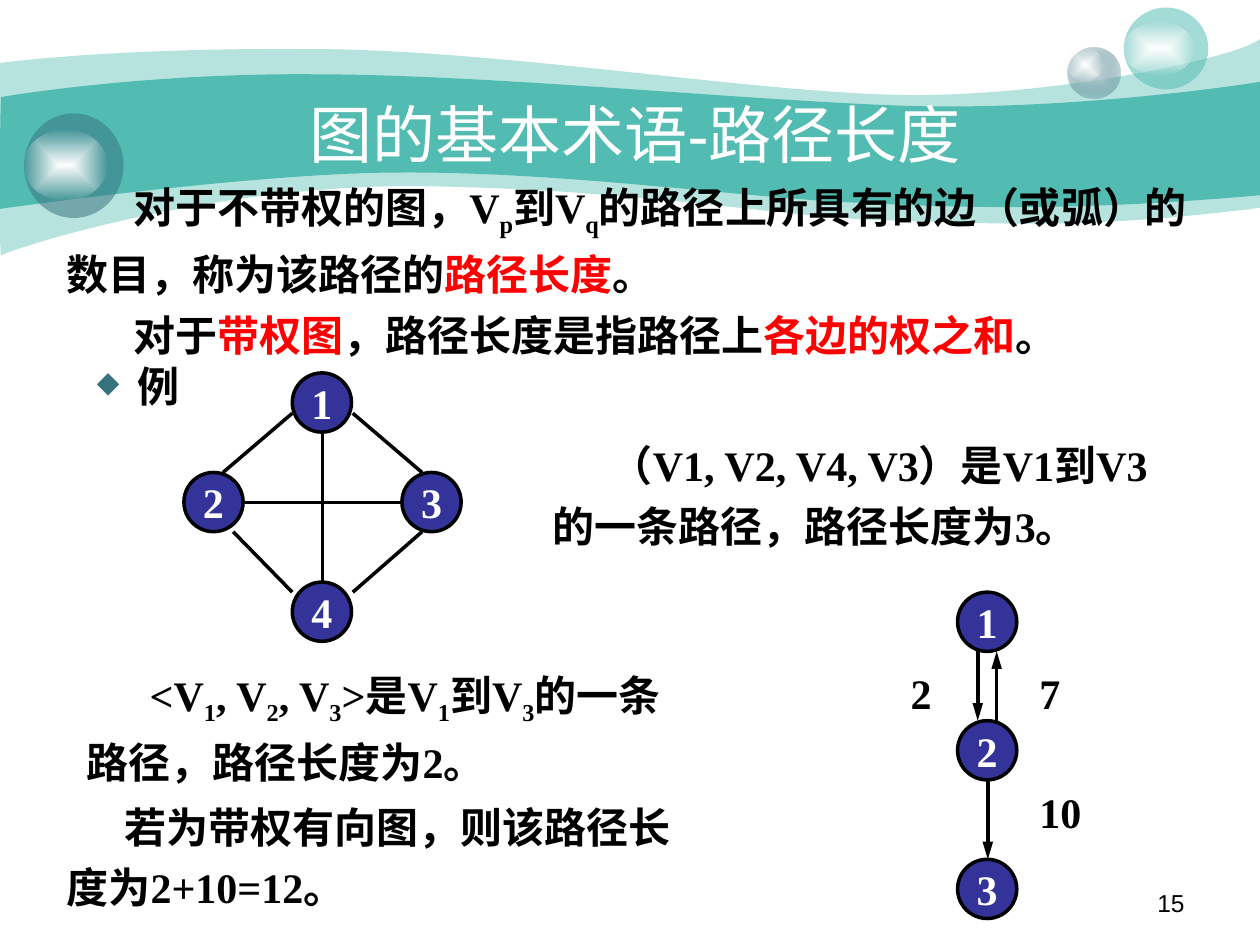
from dataclasses import dataclass

from lxml import etree
from pptx import Presentation
from pptx.dml.color import RGBColor
from pptx.enum.shapes import MSO_CONNECTOR, MSO_SHAPE
from pptx.enum.text import MSO_ANCHOR, PP_ALIGN
from pptx.oxml.ns import qn
from pptx.util import Pt

OVAL = MSO_SHAPE.OVAL
STRAIGHT = MSO_CONNECTOR.STRAIGHT
MIDDLE = MSO_ANCHOR.MIDDLE
LEFT, CENTER, RIGHT = PP_ALIGN.LEFT, PP_ALIGN.CENTER, PP_ALIGN.RIGHT
PX = 9144  # 100 px to the inch


@dataclass(frozen=True)
class Theme:
    teal: str = "52BCB2"
    deep: str = "37737F"
    pale: str = "CCDBDE"
    node: str = "333399"
    ink: str = "000000"
    white: str = "FFFFFF"
    red: str = "FF0000"
    serif: str = "Times New Roman"
    sans: str = "Arial"
    title: int = 36
    body: int = 24
    small: int = 14
    line: int = 2


T = Theme()


def paint(shape, *stops):
    """Fill with one (colour, alpha %) pair, or with two from the centre out."""
    fill = shape.fill
    if len(stops) == 1:
        fill.solid()
        fill.fore_color.rgb = RGBColor.from_string(stops[0][0])
    else:
        fill.gradient()
        for stop, (color, _) in zip(fill.gradient_stops, stops):
            stop.color.rgb = RGBColor.from_string(color)
        grad = shape._element.spPr.find(qn("a:gradFill"))
        way = etree.Element(qn("a:path"), path="rect")
        etree.SubElement(way, qn("a:fillToRect"), l="50000", t="50000", r="50000", b="50000")
        grad.replace(grad.find(qn("a:lin")), way)
    colors = shape._element.spPr.iter(qn("a:srgbClr"))
    for node, (_, alpha) in zip(list(colors), stops):
        if alpha < 100:
            etree.SubElement(node, qn("a:alpha"), val=str(alpha * 1000))
    shape.line.fill.background()
    shape.shadow.inherit = False


def write(para, runs, color=T.ink, size=T.body, font=T.serif, bold=True, align=LEFT):
    """Add (text, mark) runs; mark is '', 'sub' or 'red'."""
    para.alignment = align
    for text, mark in runs:
        run = para.add_run()
        run.text = text
        run.font.name, run.font.size, run.font.bold = font, Pt(size), bold
        run.font.color.rgb = RGBColor.from_string(T.red if mark == "red" else color)
        if mark == "sub":
            run._r.get_or_add_rPr().set("baseline", "-25000")


deck = Presentation()
deck.slide_width, deck.slide_height = 1000 * PX, 750 * PX
slide = deck.slides.add_slide(deck.slide_layouts[5])
shapes = slide.shapes

# Waves: a start point, then curves (three points) and straight lines (one point)
waves = [
    (41, (0, 50), [
        [(24, 47), (107, 38), (247, 39)], [(386, 39), (575, 70), (699, 75)],
        [(822, 80), (980, 47), (1000, 31)], [(1000, 165)],
        [(858, 183), (787, 177), (705, 175)], [(622, 173), (515, 151), (343, 148)],
        [(172, 144), (4, 199), (1, 203)], [(-1, 208), (0, 75), (0, 50)]]),
    (100, (1, 77), [
        [(2, 77), (110, 58), (248, 59)], [(386, 59), (595, 80), (718, 84)],
        [(841, 88), (976, 69), (1000, 65)], [(1000, 155)],
        [(853, 168), (765, 165), (682, 161)], [(599, 158), (447, 136), (317, 137)],
        [(203, 137), (-2, 166), (-1, 166)], [(0, 166), (0, 77), (1, 77)]]),
]
for alpha, start, parts in waves:
    pen = shapes.build_freeform(*start, scale=PX)
    pen.add_line_segments([spot for part in parts for spot in part])
    wave = pen.convert_to_shape()
    lines = wave._element.spPr.findall(".//" + qn("a:lnTo"))
    for part in parts:
        group, lines = lines[:len(part)], lines[len(part):]
        if len(group) == 3:
            curve = etree.Element(qn("a:cubicBezTo"))
            group[0].addprevious(curve)
            for line in group:
                curve.append(line[0])
                line.getparent().remove(line)
    paint(wave, (T.teal, alpha))

# Glass balls, each with a highlight
shine = [(T.white, 100), (T.white, 0)]
balls = [
    ((847, 38, 42, 40), [(T.pale, 100), (T.deep, 31)], (847, 38, 28, 27)),
    ((892, 6, 67, 65), [(T.teal, 53)], (892, 17, 56, 43)),
    ((19, 90, 79, 83), [(T.deep, 53)], (19, 103, 66, 56)),
]
for area, stops, spot in balls:
    ball = shapes.add_group_shape().shapes
    paint(ball.add_shape(OVAL, *(v * PX for v in area)), *stops)
    paint(ball.add_shape(OVAL, *(v * PX for v in spot)), *shine)

page = shapes.add_textbox(717 * PX, 700 * PX, 233 * PX, 35 * PX).text_frame
page.word_wrap = True
write(page.paragraphs[0], [("15", "")], size=T.small, font=T.sans, bold=False, align=RIGHT)

# Graphs: nodes (name, left, top), edges (from, to), arrows or none
SIDE = 47
graphs = [
    ([("1", 232, 296), ("4", 232, 462), ("2", 146, 375), ("3", 319, 375)],
     [(193, 399, 319, 399), (256, 344, 256, 462), (185, 422, 232, 470),
      (280, 470, 335, 422), (280, 328, 335, 375), (232, 328, 177, 375)], False),
    ([("1", 760, 470), ("2", 760, 572), ("3", 760, 682)],
     [(776, 517, 776, 572), (784, 619, 784, 682), (791, 572, 791, 517)], True),
]
for nodes, edges, arrow in graphs:
    graph = shapes.add_group_shape().shapes
    for name, x, y in nodes:
        node = graph.add_shape(OVAL, x * PX, y * PX, SIDE * PX, SIDE * PX)
        paint(node, (T.node, 100))
        node.line.color.rgb = RGBColor.from_string(T.ink)
        node.line.width = Pt(T.line)
        frame = node.text_frame
        frame.word_wrap, frame.vertical_anchor = False, MIDDLE
        write(frame.paragraphs[0], [(name, "")], T.white, align=CENTER)
    for ends in edges:
        edge = graph.add_connector(STRAIGHT, *(v * PX for v in ends))
        edge.line.color.rgb = RGBColor.from_string(T.ink)
        edge.line.width = Pt(T.line)
        if arrow:
            etree.SubElement(edge.line._get_or_add_ln(), qn("a:tailEnd"),
                             type="triangle", w="med", len="lg")
        etree.SubElement(edge._element.spPr, qn("a:effectLst"))

# Texts: area, left margin, first-line indent, line spacing, paragraphs
texts = [
    ((43, 130, 937, 161), 0, 53, 1.2, [
        [("对于不带权的图，V", ""), ("p", "sub"), ("到V", ""), ("q", "sub"),
         ("的路径上所具有的边（或弧）的数目，称为该路径的", ""), ("路径长度", "red"), ("。", "")],
        [("对于", ""), ("带权图", "red"), ("，路径长度是指路径上", ""),
         ("各边的权之和", "red"), ("。", "")]]),
    ((59, 281, 126, 50), 40, -32, 1, [[("例", "")]]),
    ((429, 336, 504, 106), 0, 46, 1.2, [
        [("（V1, V2, V4, V3）是V1到V3的一条路径，路径长度为3。", "")]]),
    ((59, 517, 504, 113), 0, 50, 1.2, [
        [("<V", ""), ("1", "sub"), (", V", ""), ("2", "sub"), (", V", ""), ("3", "sub"),
         (">是V", ""), ("1", "sub"), ("到V", ""), ("3", "sub"),
         ("的一条路径，路径长度为2。", "")]]),
    ((713, 525, 47, 50), 0, 0, 1, [[("2", "")]]),
    ((815, 525, 47, 50), 0, 0, 1, [[("7", "")]]),
    ((815, 619, 79, 50), 0, 0, 1, [[("10", "")]]),
    ((43, 623, 504, 106), 0, 46, 1.2, [[("若为带权有向图，则该路径长度为2+10=12。", "")]]),
]
for area, margin, indent, space, paras in texts:
    frame = shapes.add_textbox(*(v * PX for v in area)).text_frame
    frame.word_wrap = True
    for i, runs in enumerate(paras):
        para = frame.add_paragraph() if i else frame.paragraphs[0]
        para.line_spacing = space
        props = para._p.get_or_add_pPr()
        props.set("marL", str(margin * PX))
        props.set("indent", str(indent * PX))
        if margin:
            tint = etree.SubElement(props, qn("a:buClr"))
            etree.SubElement(tint, qn("a:srgbClr"), val=T.deep)
            etree.SubElement(props, qn("a:buSzPct"), val="70000")
            etree.SubElement(props, qn("a:buChar"), char="◆")
        write(para, runs)

# Title, brought in front of the waves
title = shapes.title
title.left, title.top, title.width, title.height = (v * PX for v in (100, 75, 808, 62))
title.text_frame.vertical_anchor = MIDDLE
write(title.text_frame.paragraphs[0], [("图的基本术语-路径长度", "")],
      T.white, T.title, T.sans, False, CENTER)
title._element.getparent().append(title._element)

deck.save("out.pptx")
